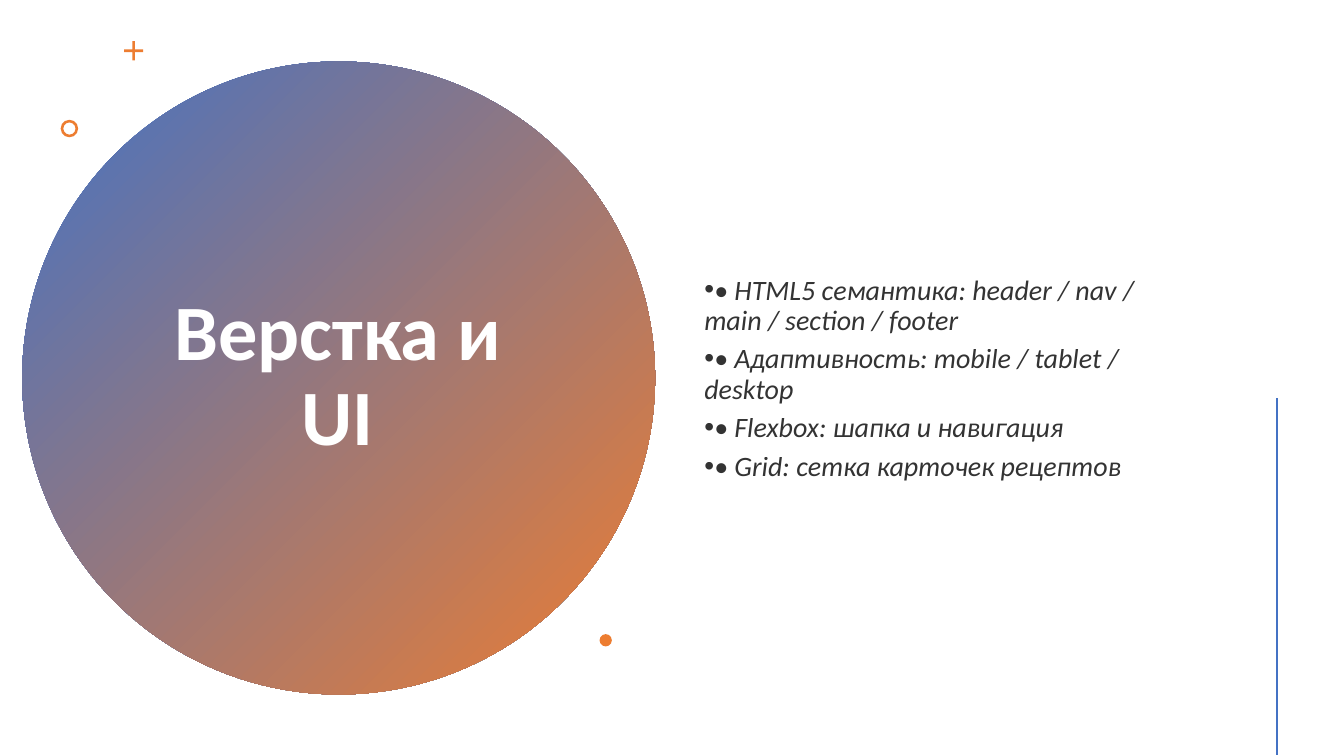
import pptx
import pptx.dml.color
import pptx.enum.shapes
import pptx.enum.text
import pptx.oxml
import pptx.oxml.ns
import pptx.util
from pptx.util import Cm

SHAPE = pptx.enum.shapes.MSO_SHAPE
ALIGN = pptx.enum.text.PP_ALIGN
BLUE, ORANGE, WHITE, BLACK = "4472C4", "ED7D31", "FFFFFF", "000000"
POINTS = [
    "• HTML5 семантика: header / nav / main / section / footer",
    "• Адаптивность: mobile / tablet / desktop",
    "• Flexbox: шапка и навигация",
    "• Grid: сетка карточек рецептов",
]


def rgb(value):
    """Turn a hex string into a colour."""
    return pptx.dml.color.RGBColor.from_string(value)


def add_child(parent, tag, **attrs):
    """Append a DrawingML element with the given attributes."""
    child = pptx.oxml.parse_xml(f"<a:{tag} {pptx.oxml.ns.nsdecls('a')}/>")
    for name, value in attrs.items():
        child.set(name, str(value))
    parent.append(child)


def add_mark(s, kind, left, top, size, adjust=None):
    """Add a square orange shape without outline."""
    sp = s.shapes.add_shape(kind, Cm(left), Cm(top), Cm(size), Cm(size))
    sp.shadow.inherit = False
    sp.line.fill.background()
    sp.fill.solid()
    sp.fill.fore_color.rgb = rgb(ORANGE)
    if adjust is not None:
        sp.adjustments[0] = adjust
    return sp


def add_disc(s, left, top, size):
    """Add the large circle shaded from blue to orange."""
    sp = add_mark(s, SHAPE.OVAL, left, top, size)
    sp.fill.gradient()
    sp.fill.gradient_angle = 315
    for stop, color in zip(sp.fill.gradient_stops, (BLUE, ORANGE)):
        stop.color.rgb = rgb(color)


def add_text(s, left, top, width, height):
    """Add an empty wrapping text box centred vertically."""
    sp = s.shapes.add_textbox(Cm(left), Cm(top), Cm(width), Cm(height))
    tf = sp.text_frame
    tf.word_wrap = True
    tf.vertical_anchor = pptx.enum.text.MSO_ANCHOR.MIDDLE
    return tf


def add_run(p, text, size, color, bold=False, italic=False):
    """Add a run and set the spacing of its paragraph."""
    p.line_spacing = 0.9
    p.space_after = pptx.util.Pt(6)
    r = p.add_run()
    r.text = text
    r.font.name = "Calibri"
    r.font.size = pptx.util.Pt(size)
    r.font.bold = bold
    r.font.italic = italic
    r.font.color.rgb = rgb(color)
    return r


def add_title(s, text):
    """Add the white heading inside the circle."""
    p = add_text(s, 3.45, 3.58, 10.13, 11.86).paragraphs[0]
    p.alignment = ALIGN.CENTER
    add_run(p, text, 56, WHITE, bold=True)


def add_points(s, points):
    """Add the bulleted list in translucent black italics."""
    tf = add_text(s, 17.5, 1.45, 13.26, 16.21)
    for i, text in enumerate(points):
        p = tf.paragraphs[0] if i == 0 else tf.add_paragraph()
        r = add_run(p, text, 20, BLACK, italic=True)
        add_child(r.font.fill._xPr.solidFill[0], "alpha", val=80000)
        pPr = p._p.get_or_add_pPr()
        pPr.set("marL", "0")
        pPr.set("indent", str(-Cm(0.64)))
        add_child(pPr, "buFont", typeface="Arial")
        add_child(pPr, "buChar", char="•")


def add_line(s, x, top, bottom):
    """Add a vertical blue line."""
    c = s.shapes.add_connector(
        pptx.enum.shapes.MSO_CONNECTOR.STRAIGHT, Cm(x), Cm(top), Cm(x), Cm(bottom)
    )
    c.line.color.rgb = rgb(BLUE)
    c.line.width = pptx.util.Pt(2)
    add_child(c._element.spPr, "effectLst")


def main():
    """Build the slide and save it."""
    prs = pptx.Presentation()
    prs.slide_width, prs.slide_height = Cm(33.87), Cm(19.05)
    s = prs.slides.add_slide(prs.slide_layouts[6])
    add_disc(s, 0.56, 1.55, 15.95)
    add_title(s, "Верстка и UI")
    add_mark(s, SHAPE.CROSS, 3.13, 1.04, 0.48, 0.43)
    add_mark(s, SHAPE.DONUT, 1.53, 3.02, 0.44, 0.15)
    add_points(s, POINTS)
    add_mark(s, SHAPE.OVAL, 15.11, 15.98, 0.31)
    add_line(s, 32.18, 10.03, 19.03)
    prs.save("out.pptx")


if __name__ == "__main__":
    main()
